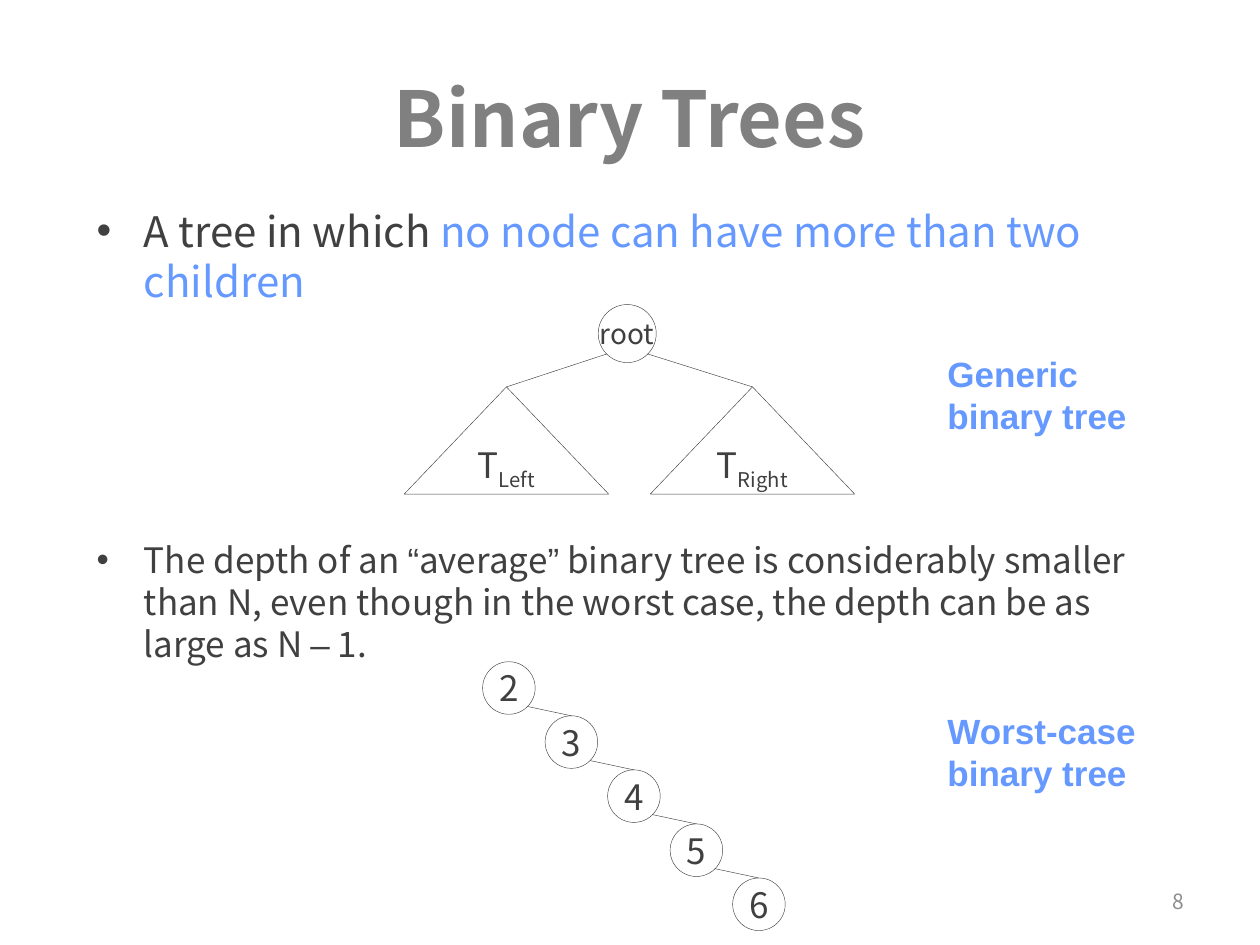
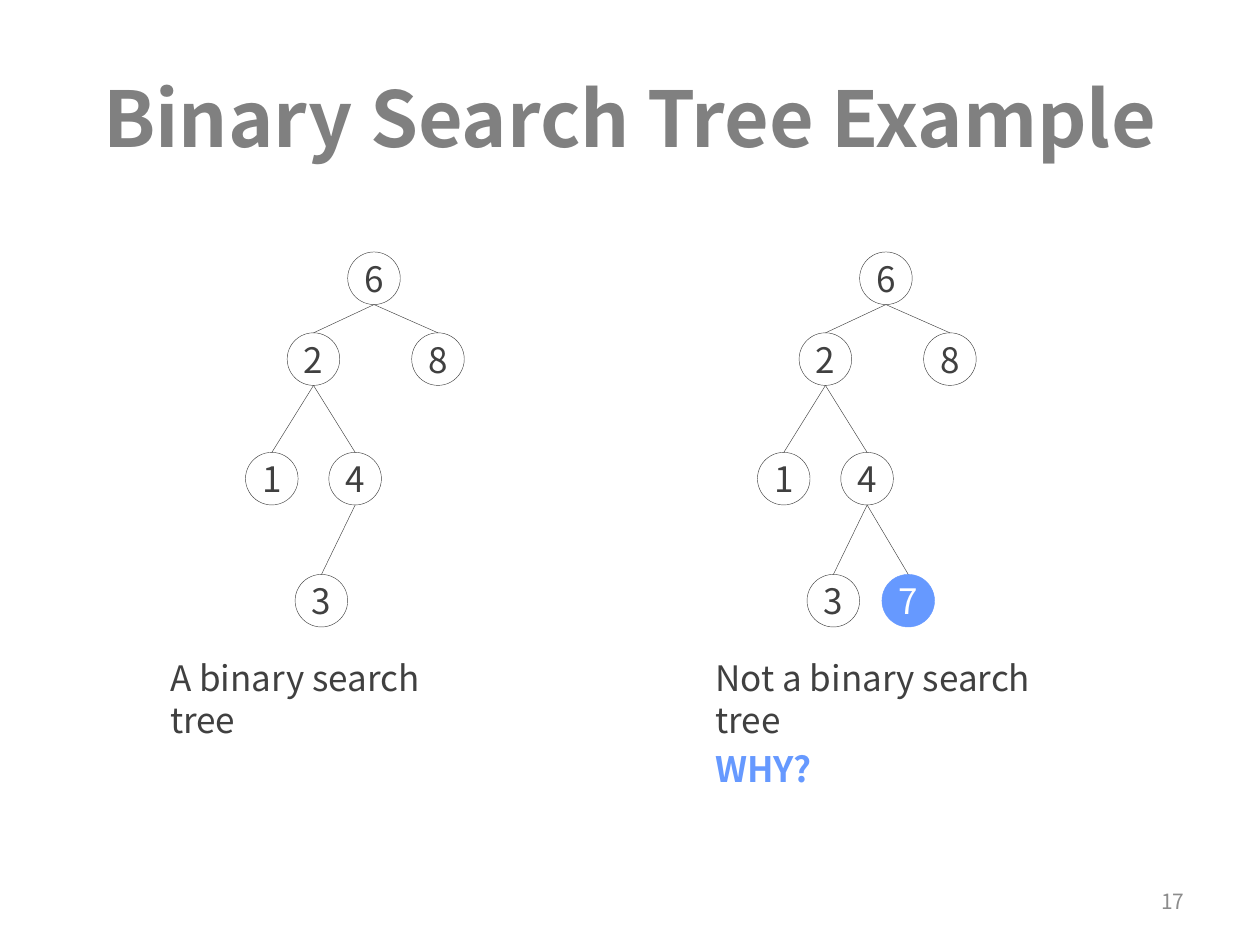
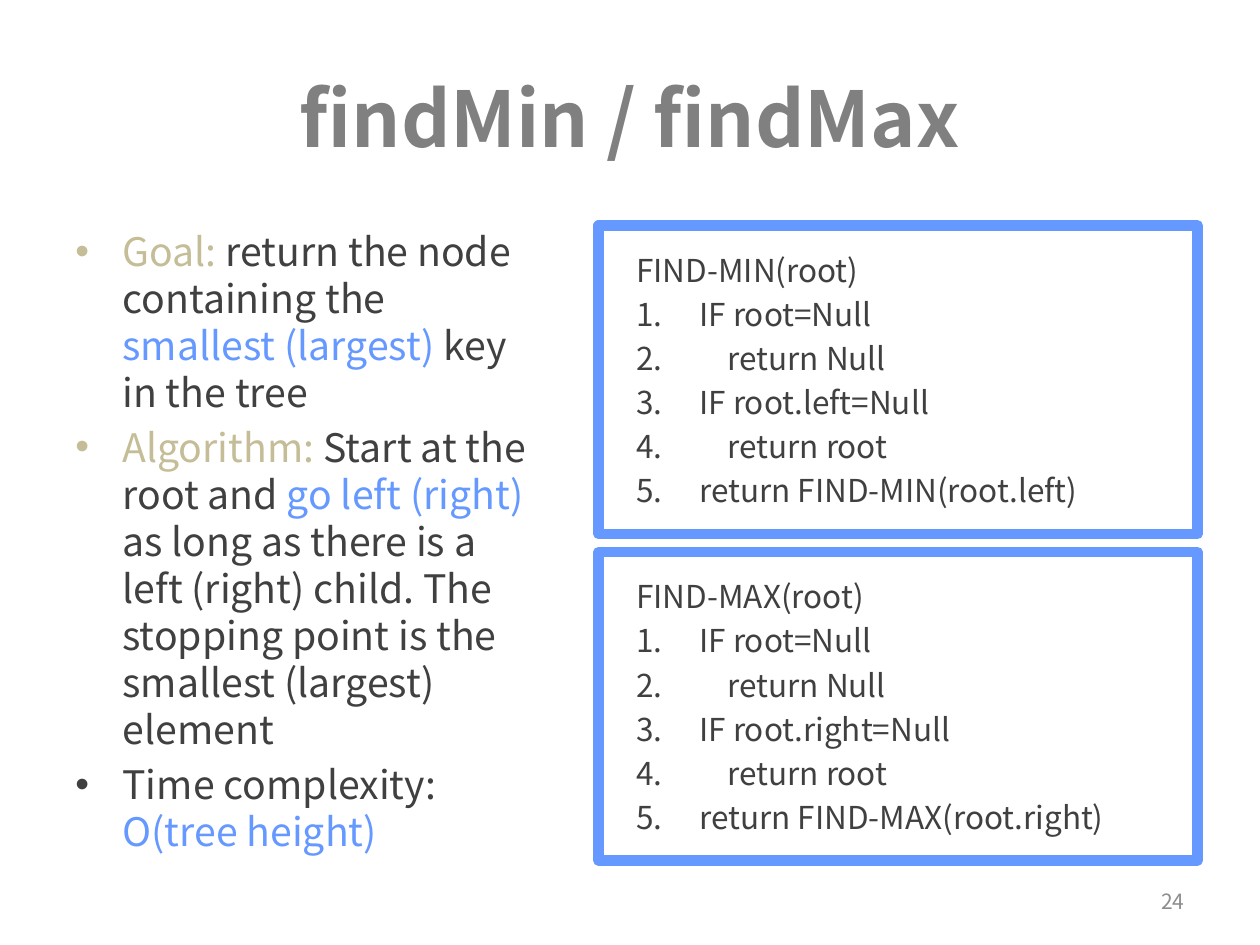
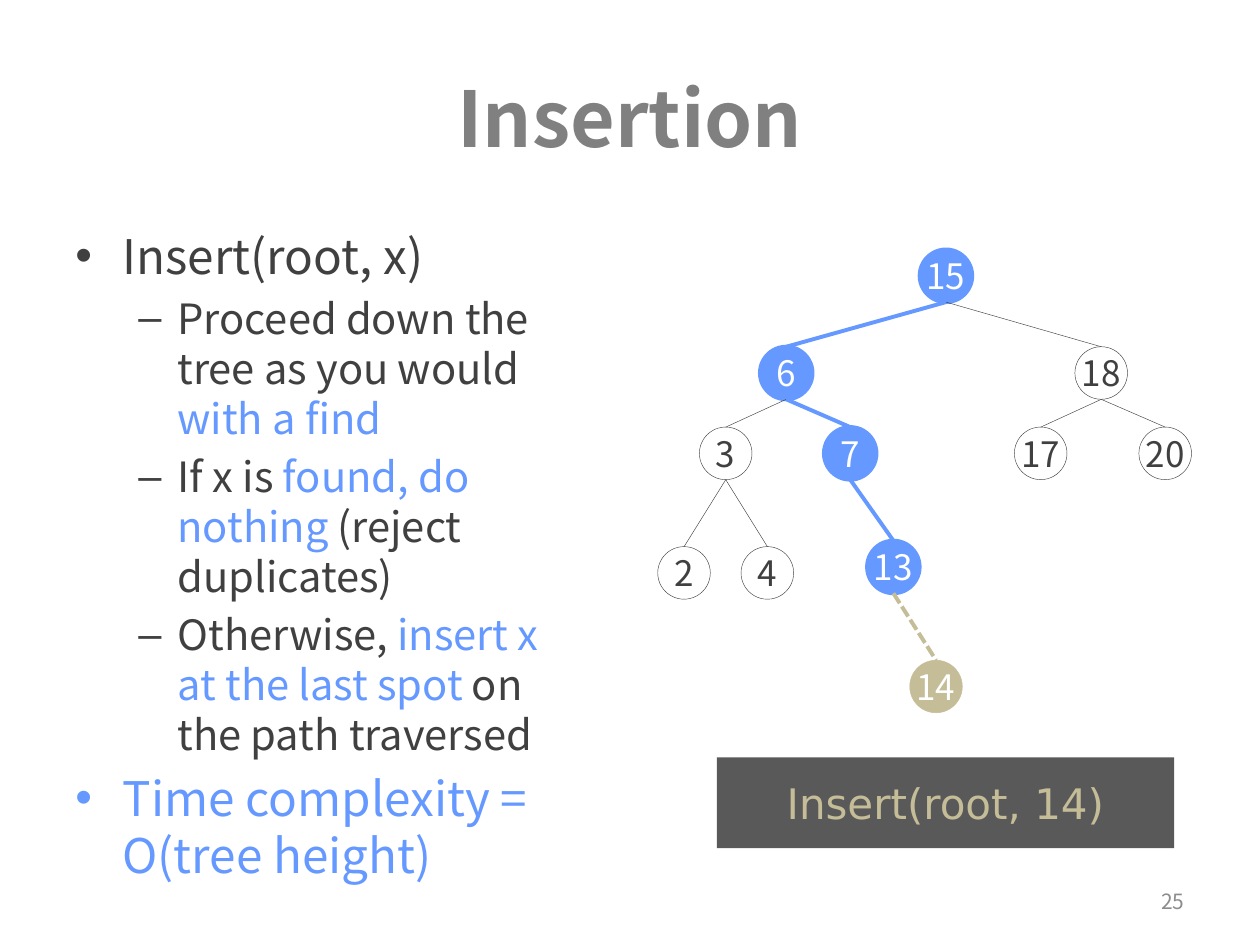
from dataclasses import dataclass
from typing import Optional

from lxml.etree import SubElement
from pptx import Presentation
from pptx.dml.color import RGBColor
from pptx.enum.dml import MSO_LINE
from pptx.enum.shapes import MSO_CONNECTOR, MSO_SHAPE
from pptx.enum.text import MSO_ANCHOR, PP_ALIGN
from pptx.oxml.ns import qn
from pptx.util import Cm, Pt

GREY = RGBColor(0x80, 0x80, 0x80)
INK = RGBColor(0x40, 0x40, 0x40)
PALE = RGBColor(0x8C, 0x8C, 0x8C)
BLUE = RGBColor(0x66, 0x99, 0xFF)
TAN = RGBColor(0xC4, 0xBD, 0x97)
DARK = RGBColor(0x59, 0x59, 0x59)
WHITE = RGBColor(0xFF, 0xFF, 0xFF)

MAIN_FONT = "Noto Sans CJK SC"
LABEL_FONT = "Arial"
BUTTON_FONT = "DejaVu Sans"

NODE = 1.06
HAIRLINE = 0.25
THICK = 2.25
BULLET = dict(bullet="•", margin=0.95, hanging=0.95)
DASH = dict(bullet="–", margin=2.06, hanging=0.79, level=1)


@dataclass(frozen=True)
class NodeStyle:
    fill: Optional[RGBColor] = None
    line: RGBColor = INK
    width: float = HAIRLINE
    ink: RGBColor = INK
    edge: RGBColor = INK
    edge_width: float = HAIRLINE
    dash: Optional[MSO_LINE] = None


PLAIN = NodeStyle()
WRONG = NodeStyle(fill=BLUE, line=BLUE, ink=WHITE)
VISITED = NodeStyle(BLUE, BLUE, THICK, WHITE, BLUE, THICK)
INSERTED = NodeStyle(TAN, TAN, HAIRLINE, WHITE, TAN, THICK, MSO_LINE.SQUARE_DOT)


def blue(text):
    return text, dict(color=BLUE)


def tan(text):
    return text, dict(color=TAN)


def arial(text):
    return text, dict(font=LABEL_FONT)


def add_run(paragraph, text, size, color, font=MAIN_FONT, bold=False, baseline=None):
    for index, line in enumerate(text.split("\n")):
        if index:
            paragraph.add_line_break()
        run = paragraph.add_run()
        run.text = line
        run.font.size = Pt(size)
        run.font.name = font
        run.font.bold = bold
        run.font.color.rgb = color
        if baseline:
            run._r.get_or_add_rPr().set("baseline", str(baseline * 1000))


def add_text(frame, *runs, size=20, color=INK, font=MAIN_FONT, bold=False,
             align=PP_ALIGN.LEFT, before=None, bullet=None, margin=0, hanging=0, level=0):
    paragraph = frame.paragraphs[0]
    if paragraph.runs:
        paragraph = frame.add_paragraph()
    paragraph.alignment = align
    paragraph.level = level
    paragraph.space_before = Pt(size * 0.2 if before is None else before)
    if bullet:
        properties = paragraph._p.get_or_add_pPr()
        properties.set("marL", str(Cm(margin)))
        properties.set("indent", str(-Cm(hanging)))
        if bullet == "1.":
            SubElement(properties, qn("a:buAutoNum")).set("type", "arabicPeriod")
        else:
            SubElement(properties, qn("a:buFont")).set("typeface", LABEL_FONT)
            SubElement(properties, qn("a:buChar")).set("char", bullet)
    for run in runs:
        text, changes = (run, {}) if isinstance(run, str) else run
        style = dict(size=size, color=color, font=font, bold=bold) | changes
        add_run(paragraph, text, **style)


def add_box(slide, left, top, width, height, anchor=MSO_ANCHOR.TOP, wrap=True):
    box = slide.shapes.add_textbox(Cm(left), Cm(top), Cm(width), Cm(height))
    frame = box.text_frame
    frame.word_wrap = wrap
    frame.vertical_anchor = anchor
    return frame


def add_preset(slide, kind, left, top, width, height, fill=None, line=None,
               line_width=HAIRLINE, inset=(0, 0), wrap=False, anchor=MSO_ANCHOR.MIDDLE):
    shape = slide.shapes.add_shape(kind, Cm(left), Cm(top), Cm(width), Cm(height))
    shape.shadow.inherit = False
    if fill is None:
        shape.fill.background()
    else:
        shape.fill.solid()
        shape.fill.fore_color.rgb = fill
    if line is None:
        shape.line.fill.background()
    else:
        shape.line.color.rgb = line
        shape.line.width = Pt(line_width)
    frame = shape.text_frame
    frame.word_wrap = wrap
    frame.vertical_anchor = anchor
    frame.margin_left = frame.margin_right = Cm(inset[0])
    frame.margin_top = frame.margin_bottom = Cm(inset[1])
    return shape


def add_node(slide, label, left, top, style=PLAIN, diameter=NODE, size=20):
    node = add_preset(slide, MSO_SHAPE.OVAL, left, top, diameter, diameter,
                      style.fill, style.line, style.width)
    add_text(node.text_frame, label, size=size, color=style.ink,
             align=PP_ALIGN.CENTER, before=0)
    return node


def add_edge(slide, parent, child, across=0.5, down=1.0, style=PLAIN):
    start_x = parent.left + int(parent.width * across)
    start_y = parent.top + int(parent.height * down)
    edge = slide.shapes.add_connector(MSO_CONNECTOR.STRAIGHT, start_x, start_y,
                                      child.left, child.top)
    edge.end_connect(child, 0)
    edge.line.color.rgb = style.edge
    edge.line.width = Pt(style.edge_width)
    if style.dash:
        edge.line.dash_style = style.dash
    SubElement(edge._element.spPr, qn("a:effectLst"))


def add_tree(slide, left, top, branches):
    nodes = {}
    for label, parent, x, y, style in branches:
        nodes[label] = add_node(slide, label, left + x, top + y, style)
        if parent:
            add_edge(slide, nodes[parent], nodes[label], style=style)


def add_slide(presentation, title, number):
    slide = presentation.slides.add_slide(presentation.slide_layouts[6])
    add_text(add_box(slide, 1.27, 0.76, 22.86, 3.18, MSO_ANCHOR.MIDDLE), title,
             size=44, color=GREY, bold=True, align=PP_ALIGN.CENTER, before=0)
    add_text(add_box(slide, 18.21, 17.65, 5.92, 1.02, MSO_ANCHOR.MIDDLE), number,
             size=12, color=PALE, align=PP_ALIGN.RIGHT, before=0)
    return slide


def add_side_label(slide, left, top, text):
    add_text(add_box(slide, left, top, 4.3, 1.96, wrap=False), text,
             color=BLUE, font=LABEL_FONT, bold=True)


def add_generic_tree(slide, left, top):
    root = add_node(slide, "root", left + 3.91, top, diameter=1.17, size=16)
    for column, (name, across) in enumerate((("Left", 0.15), ("Right", 0.85))):
        subtree = add_preset(slide, MSO_SHAPE.ISOSCELES_TRIANGLE, left + column * 4.96,
                             top + 1.66, 4.12, 2.16, line=INK)
        add_text(subtree.text_frame, "T", (name, dict(baseline=-25)),
                 align=PP_ALIGN.CENTER, before=0)
        add_edge(slide, root, subtree, across, 0.85)


def add_worst_case_tree(slide, left, top):
    previous = None
    for step, label in enumerate("23456"):
        node = add_node(slide, label, left + step * 1.26, top + step * 1.09)
        if previous:
            add_edge(slide, previous, node, 0.85, 0.85)
        previous = node


def build_binary_trees(presentation):
    slide = add_slide(presentation, "Binary Trees", "8")
    body = add_box(slide, 1.7, 4.01, 21.8, 13.97)
    add_text(body, "A tree in which ", blue("no node can have more than two children"),
             size=24, **BULLET)
    add_text(body, "The depth of an ", arial("“"), "average", arial("”"),
             " binary tree is considerably smaller than N, even though in the worst case, "
             "the depth can be as large as N ", arial("–"), " 1.", before=133, **BULLET)
    add_side_label(slide, 18.85, 6.99, "Generic \nbinary tree")
    add_side_label(slide, 18.85, 14.17, "Worst-case\nbinary tree")
    add_generic_tree(slide, 8.15, 6.14)
    add_worst_case_tree(slide, 9.73, 13.34)


def build_search_tree_example(presentation):
    slide = add_slide(presentation, "Binary Search Tree Example", "17")
    shared = [
        ("6", None, 2.06, 0, PLAIN),
        ("2", "6", 0.84, 1.63, PLAIN),
        ("8", "6", 3.35, 1.63, PLAIN),
        ("1", "2", 0, 4.04, PLAIN),
        ("4", "2", 1.68, 4.04, PLAIN),
        ("3", "4", 1, 6.5, PLAIN),
    ]
    add_tree(slide, 4.95, 5.08, shared)
    add_tree(slide, 15.27, 5.08, shared + [("7", "4", 2.51, 6.5, WRONG)])
    add_text(add_box(slide, 3.18, 13.11, 6.96, 1.12), "A binary search tree")
    caption = add_box(slide, 14.17, 13.11, 8.28, 2.13)
    caption.margin_right = Cm(1.2)
    add_text(caption, "Not a binary search tree")
    add_text(caption, "WHY?", color=BLUE, bold=True)


def add_code_panel(slide, left, top, name, side):
    panel = add_preset(slide, MSO_SHAPE.RECTANGLE, left, top, 12.07, 6.22, WHITE, BLUE, 6,
                       inset=(0.76, 0.51), wrap=True, anchor=MSO_ANCHOR.TOP)
    add_text(panel.text_frame, f"{name}(root)", size=18)
    steps = (
        ("IF root=Null", 0),
        ("return Null", 0.57),
        (f"IF root.{side}=Null", 0),
        ("return root", 0.57),
        (f"return {name}(root.{side})", 0),
    )
    for step, indent in steps:
        add_text(panel.text_frame, step, size=18, bullet="1.",
                 margin=1.27 + indent, hanging=1.27 + indent)


def build_find_min_max(presentation):
    slide = add_slide(presentation, "findMin / findMax", "24")
    body = add_box(slide, 1.27, 4.45, 9.73, 12.57)
    items = (
        (tan("Goal: "), "return the node containing the ",
         blue("smallest (largest)"), " key in the tree"),
        (tan("Algorithm: "), "Start at the root and ", blue("go left (right) "),
         "as long as there is a left (right) child. "
         "The stopping point is the smallest (largest) element"),
        ("Time complexity: ", blue("O(tree height)")),
    )
    for runs in items:
        add_text(body, *runs, size=22.4, **BULLET)
    add_code_panel(slide, 12.07, 4.55, "FIND-MIN", "left")
    add_code_panel(slide, 12.07, 11.13, "FIND-MAX", "right")


def build_insertion(presentation):
    slide = add_slide(presentation, "Insertion", "25")
    body = add_box(slide, 1.27, 4.45, 9.96, 12.9)
    add_text(body, "Insert(root, x)", size=27.2, **BULLET)
    items = (
        ("Proceed down the tree as you would ", blue("with a find")),
        ("If x is ", blue("found, do nothing "), "(reject duplicates)"),
        ("Otherwise, ", blue("insert x at the last spot "), "on the path traversed"),
    )
    for runs in items:
        add_text(body, *runs, size=23.8, **DASH)
    add_text(body, "Time complexity = O(tree height)", size=27.2, color=BLUE, **BULLET)
    add_tree(slide, 13.26, 5.03, [
        ("15", None, 5.28, 0, VISITED),
        ("6", "15", 2.06, 1.96, VISITED),
        ("3", "6", 0.84, 3.58, PLAIN),
        ("7", "6", 3.35, 3.58, VISITED),
        ("18", "15", 8.41, 1.96, PLAIN),
        ("17", "18", 7.19, 3.58, PLAIN),
        ("20", "18", 9.7, 3.58, PLAIN),
        ("2", "3", 0, 5.99, PLAIN),
        ("4", "3", 1.68, 5.99, PLAIN),
        ("13", "7", 4.22, 5.87, VISITED),
        ("14", "13", 5.08, 8.28, INSERTED),
    ])
    button = add_preset(slide, MSO_SHAPE.RECTANGLE, 14.45, 15.27, 9.22, 1.83, DARK)
    add_text(button.text_frame, "Insert(root, 14)", size=24, color=TAN,
             font=BUTTON_FONT, align=PP_ALIGN.CENTER, before=0)


def main():
    presentation = Presentation()
    presentation.slide_width = Cm(25.4)
    presentation.slide_height = Cm(19.05)
    build_binary_trees(presentation)
    build_search_tree_example(presentation)
    build_find_min_max(presentation)
    build_insertion(presentation)
    presentation.save("out.pptx")


if __name__ == "__main__":
    main()
